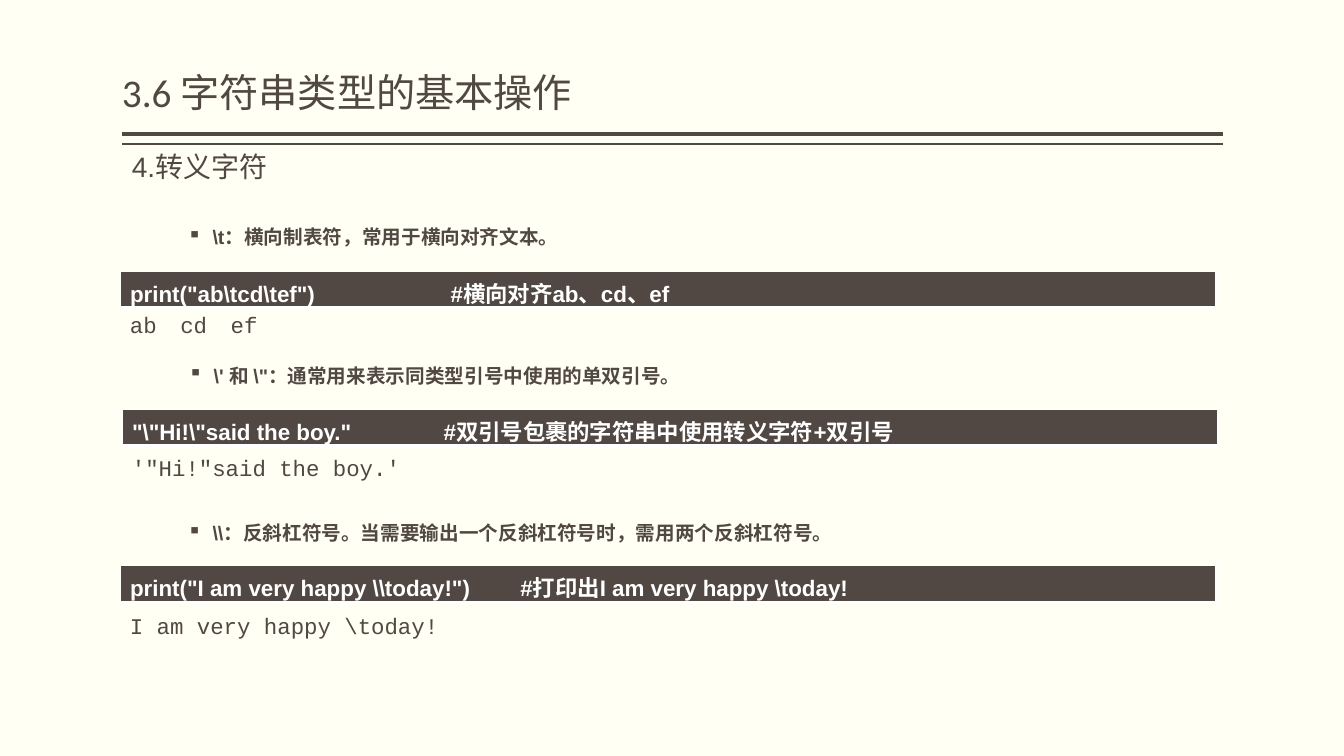
"""Builds the slide on escape characters in string operations."""
from lxml.etree import SubElement
from pptx import Presentation
from pptx.dml.color import RGBColor
from pptx.enum.shapes import MSO_CONNECTOR
from pptx.enum.text import MSO_ANCHOR, MSO_AUTO_SIZE, PP_ALIGN
from pptx.oxml.ns import qn
from pptx.util import Pt

PX = 9144
COLORS = {"paper": "FFFFF3", "ink": "514843", "white": "FFFFFF"}


def color(name):
    return RGBColor.from_string(COLORS[name])


class EscapeSlide:
    def __init__(self, deck):
        self.slide = deck.slides.add_slide(deck.slide_layouts[6])
        self.slide.background.fill.solid()
        self.slide.background.fill.fore_color.rgb = color("paper")

    def style(self, paragraph, size, face, ink="ink", bold=False):
        font = paragraph.font
        font.size, font.name, font.bold = Pt(size), face, bold
        font.color.rgb = color(ink)

    def rule(self, y, weight):
        line = self.slide.shapes.add_connector(
            MSO_CONNECTOR.STRAIGHT, 1213 * PX, y * PX, 121 * PX, y * PX)
        line.line.color.rgb = color("ink")
        line.line.width = Pt(weight)
        SubElement(line._element.spPr, qn("a:effectLst"))

    def text(self, wording, x, y, width, height, size, face):
        box = self.slide.shapes.add_textbox(x * PX, y * PX, width * PX, height * PX)
        frame = box.text_frame
        frame.word_wrap = True
        paragraph = frame.paragraphs[0]
        paragraph.text = wording
        self.style(paragraph, size, face)
        return frame

    def title(self, wording):
        frame = self.text(wording, 121, 58, 1092, 62, 28, "Calibri")
        frame.vertical_anchor = MSO_ANCHOR.BOTTOM
        frame.margin_left = frame.margin_right = 0
        frame.paragraphs[0].line_spacing = 0.9

    def bullet(self, wording, x, y):
        box = self.slide.shapes.add_textbox(x * PX, y * PX, 1092 * PX, 62 * PX)
        box.text_frame.word_wrap = True
        point = box.text_frame.paragraphs[0]
        point.text = wording
        point.level = 1
        point.alignment = PP_ALIGN.JUSTIFY
        point.line_spacing = 1.5
        properties = point._p.get_or_add_pPr()
        properties.set("marL", str(75 * PX))
        properties.set("indent", str(-25 * PX))
        SubElement(properties, qn("a:buChar"), char="▪")
        self.style(point, 14, "Arial", bold=True)

    def code(self, statement, comment, x, y, comment_offset):
        table = self.slide.shapes.add_table(
            1, 1, x * PX, y * PX, 1087 * PX, 34 * PX).table
        table.first_row = table.horz_banding = False
        cell = table.cell(0, 0)
        line = cell.text_frame.paragraphs[0]
        line.text = f"{statement}\t{comment}"
        stops = SubElement(line._p.get_or_add_pPr(), qn("a:tabLst"))
        SubElement(stops, qn("a:tab"), pos=str(comment_offset * PX), algn="l")
        self.style(line, 16, "Arial", "white", True)
        properties = cell._tc.get_or_add_tcPr()
        for side, weight in (("L", 1), ("R", 1), ("T", 1), ("B", 3)):
            border = SubElement(properties, qn(f"a:ln{side}"), w=str(Pt(weight)))
            fill = SubElement(border, qn("a:solidFill"))
            SubElement(fill, qn("a:srgbClr"), val=COLORS["white"])
        cell.fill.solid()
        cell.fill.fore_color.rgb = color("ink")

    def output(self, wording, x, y):
        frame = self.text(wording, x, y, 1092, 37, 16, "Courier New")
        frame.auto_size = MSO_AUTO_SIZE.SHAPE_TO_FIT_TEXT


def main():
    deck = Presentation()
    deck.slide_width, deck.slide_height = 1333 * PX, 750 * PX
    page = EscapeSlide(deck)
    page.rule(133, 3)
    page.rule(143, 1)
    page.text("4.转义字符", 121, 143, 306, 62, 20, "Arial")
    page.title("3.6 字符串类型的基本操作")

    examples = [
        (("\\t：横向制表符，常用于横向对齐文本。", 126, 207),
         ('print("ab\\tcd\\tef")', "#横向对齐ab、cd、ef", 119, 269, 318),
         ("ab\tcd\tef", 119, 304)),
        (("\\' 和 \\\"：通常用来表示同类型引号中使用的单双引号。", 127, 344),
         ('"\\"Hi!\\"said the boy."', "#双引号包裹的字符串中使用转义字符+双引号", 121, 406, 309),
         ("'\"Hi!\"said the boy.'", 121, 446)),
        (("\\\\：反斜杠符号。当需要输出一个反斜杠符号时，需用两个反斜杠符号。", 126, 500),
         ('print("I am very happy \\\\today!")', "#打印出I am very happy \\today!", 119, 561, 387),
         ("I am very happy \\today!", 119, 602)),
    ]
    for meaning, statement, result in examples:
        page.bullet(*meaning)
        page.code(*statement)
        page.output(*result)
    deck.save("out.pptx")


if __name__ == "__main__":
    main()
